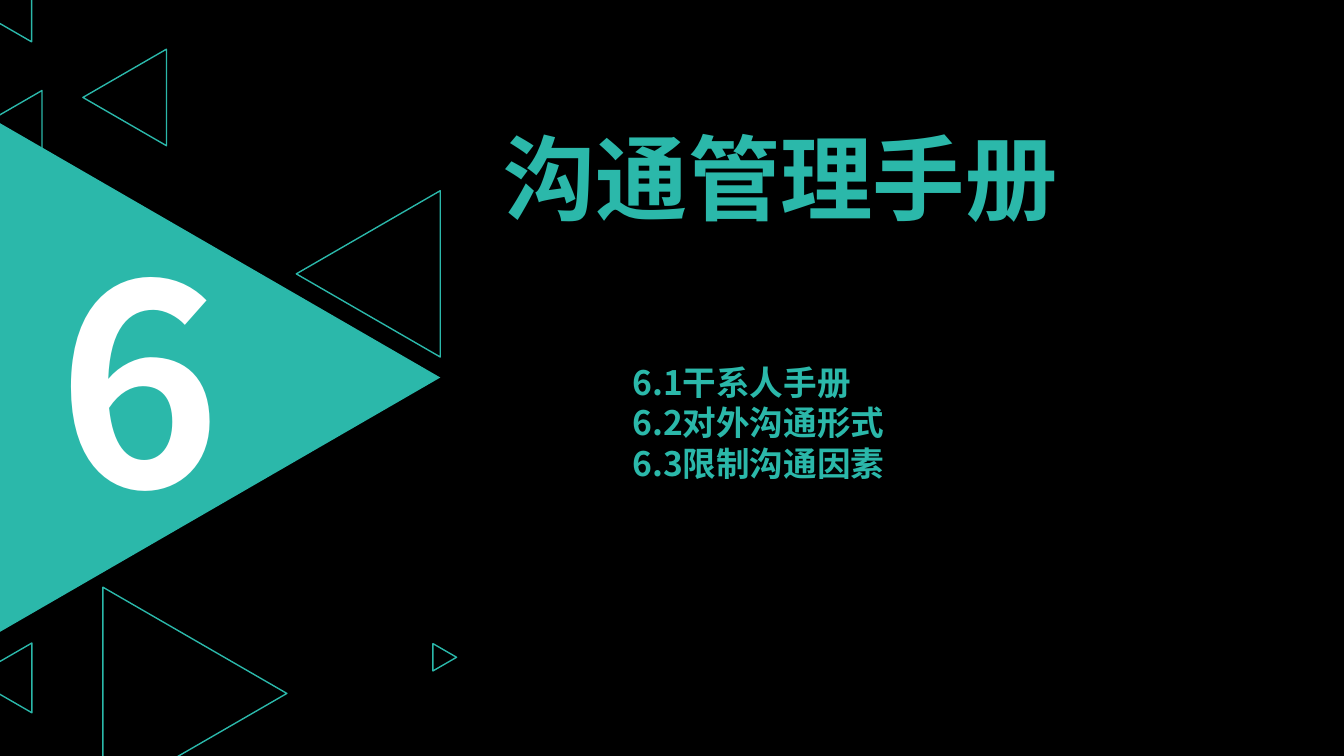
from dataclasses import dataclass
from math import sqrt

from pptx import Presentation
from pptx import util as u
from pptx.dml.color import RGBColor
from pptx.enum import shapes, text
from pptx.oxml.ns import qn
from lxml import etree


@dataclass(frozen=True)
class Theme:
    accent: RGBColor = RGBColor(0x2B, 0xB8, 0xAA)
    white: RGBColor = RGBColor(0xFF, 0xFF, 0xFF)
    background: RGBColor = RGBColor(0, 0, 0)
    font: str = "Noto Sans CJK SC"
    number_size: int = 199
    title_size: int = 66
    list_size: int = 24
    outline: int = 1


@dataclass(frozen=True)
class Triangle:
    centre_column: float
    centre_row: float
    base: float
    points_right: bool = False
    filled: bool = False


@dataclass(frozen=True)
class Label:
    column: float
    row: float
    columns: float
    rows: float
    wording: str
    size: int
    colour: RGBColor
    align: text.PP_ALIGN = text.PP_ALIGN.LEFT


THEME = Theme()
WIDTH, HEIGHT = u.Inches(13.34), u.Inches(7.5)
COLUMN, ROW = WIDTH / 32, HEIGHT / 18

TRIANGLES = [
    Triangle(5.23, 8.99, 12.14, points_right=True, filled=True),
    Triangle(4.64, 16.51, 5.06, points_right=True),
    Triangle(8.77, 6.52, 3.96),
    Triangle(-0.32, 3.68, 3.05),
    Triangle(2.97, 2.32, 2.3),
    Triangle(0.04, 16.14, 1.66),
    Triangle(10.59, 15.65, 0.65, points_right=True),
    Triangle(-0.42, -0.36, 2.71),
]
NUMBER = Label(0.05, 4.85, 6.55, 8.28, "6",
               THEME.number_size, THEME.white, text.PP_ALIGN.CENTER)
TITLE = Label(11.75, 2.76, 15.86, 2.9, "沟通管理手册",
              THEME.title_size, THEME.accent)
CONTENTS = Label(14.82, 8.5, 7.2, 3.14,
                 "6.1干系人手册\n6.2对外沟通形式\n6.3限制沟通因素",
                 THEME.list_size, THEME.accent)


def draw_triangle(page, triangle: Triangle) -> None:
    base = triangle.base * ROW
    depth = base * sqrt(3) / 2
    shape = page.shapes.add_shape(
        shapes.MSO_SHAPE.ISOSCELES_TRIANGLE,
        round(triangle.centre_column * COLUMN - base / 2),
        round(triangle.centre_row * ROW - depth / 2),
        round(base), round(depth))
    shape.rotation = 90 if triangle.points_right else 270
    shape.shadow.inherit = False
    if triangle.filled:
        shape.fill.solid()
        shape.fill.fore_color.rgb = THEME.accent
        shape.line.fill.background()
    else:
        shape.fill.background()
        shape.line.color.rgb = THEME.accent
        shape.line.width = u.Pt(THEME.outline)


def write_label(box, label: Label) -> None:
    box.left, box.top = round(label.column * COLUMN), round(label.row * ROW)
    box.width, box.height = round(label.columns * COLUMN), round(label.rows * ROW)
    frame = box.text_frame
    frame.text = label.wording
    frame.word_wrap = True
    frame.auto_size = text.MSO_AUTO_SIZE.SHAPE_TO_FIT_TEXT
    frame.vertical_anchor = text.MSO_ANCHOR.TOP
    for para in frame.paragraphs:
        para.alignment = label.align
        for span in para.runs:
            span.font.size = u.Pt(label.size)
            span.font.bold = True
            span.font.color.rgb = label.colour
            span.font.name = THEME.font
            east_asian = etree.SubElement(span.font._element, qn("a:ea"))
            east_asian.set("typeface", THEME.font)


def main() -> None:
    deck = Presentation()
    deck.slide_width, deck.slide_height = WIDTH, HEIGHT
    page = deck.slides.add_slide(deck.slide_layouts.get_by_name("Title Only"))
    page.background.fill.solid()
    page.background.fill.fore_color.rgb = THEME.background
    for triangle in TRIANGLES:
        draw_triangle(page, triangle)
    write_label(page.shapes.title, TITLE)
    for label in (NUMBER, CONTENTS):
        write_label(page.shapes.add_textbox(0, 0, 0, 0), label)
    deck.save("out.pptx")


if __name__ == "__main__":
    main()
